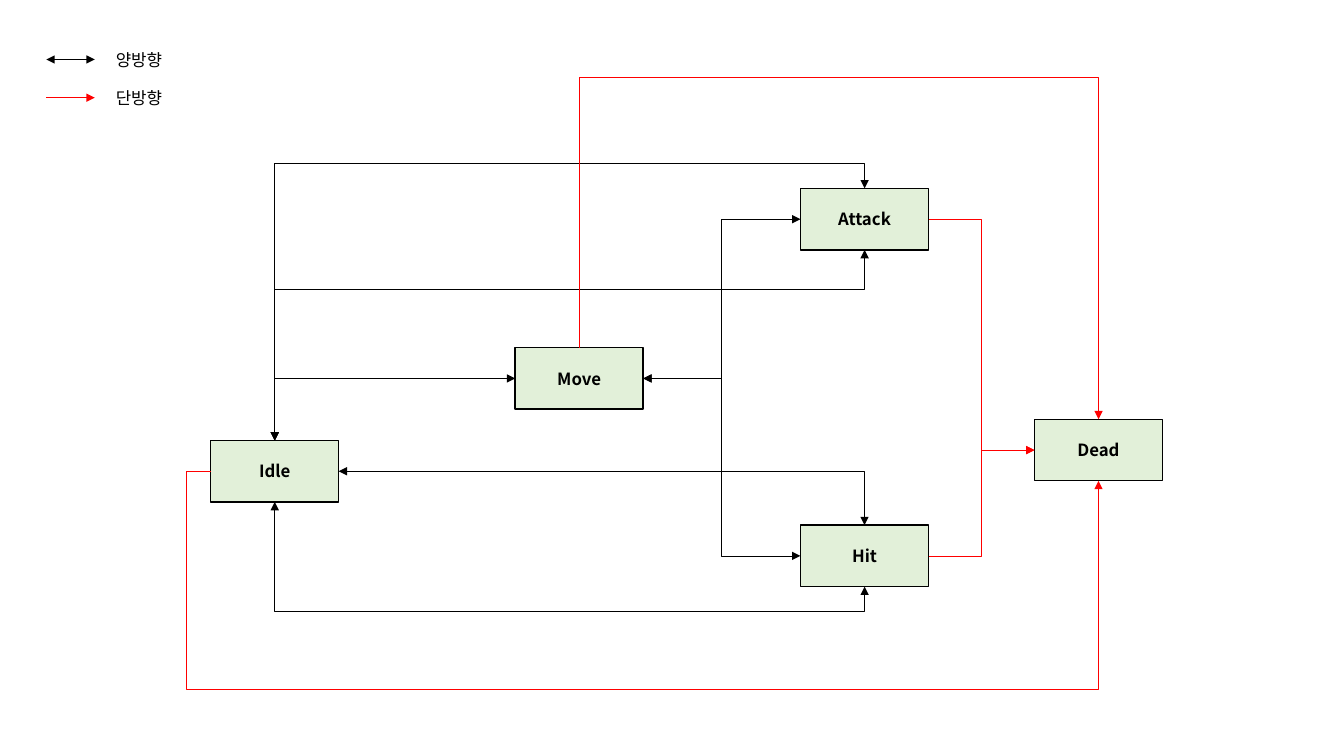
from dataclasses import dataclass

from lxml.etree import SubElement as Sub
from pptx import Presentation
from pptx.dml.color import RGBColor
from pptx.enum.shapes import MSO_CONNECTOR as Conn, MSO_SHAPE as Shape
from pptx.enum.text import MSO_ANCHOR as Anchor, PP_ALIGN as Align
from pptx.oxml.ns import qn
from pptx.util import Inches, Pt

BLACK = RGBColor(0, 0, 0)
RED = RGBColor(255, 0, 0)
GREEN = RGBColor(0xE2, 0xF0, 0xD9)
FONT = "Noto Sans CJK KR"
WIDE, HIGH = 1.27, 0.61
TOP, LEFT, BOTTOM, RIGHT = range(4)


@dataclass
class State:
    """A state box, placed by its top left corner."""
    name: str
    x: float
    y: float

    def site(self, side: int) -> tuple[float, float]:
        """Return the middle of one side."""
        across, down = [(0.5, 0), (0, 0.5), (0.5, 1), (1, 0.5)][side]
        return self.x + across * WIDE, self.y + down * HIGH


@dataclass
class Link:
    """An elbow between two sides; lanes are the inner turns, in inches."""
    start: str
    out: int
    end: str
    into: int
    lanes: tuple[float, ...] = ()
    color: RGBColor = BLACK


@dataclass
class Key:
    """One row of the legend."""
    label: str
    y: float
    color: RGBColor


STATES = [
    State("Idle", 2.09, 4.37),
    State("Attack", 7.94, 1.87),
    State("Move", 5.11, 3.45),
    State("Hit", 7.94, 5.21),
    State("Dead", 10.26, 4.16),
]
LINKS = [
    Link("Idle", TOP, "Move", LEFT),
    Link("Idle", RIGHT, "Hit", TOP),
    Link("Idle", BOTTOM, "Hit", BOTTOM, (6.07,)),
    Link("Move", RIGHT, "Attack", LEFT, (7.16,)),
    Link("Attack", RIGHT, "Dead", LEFT, (9.73,), RED),
    Link("Hit", RIGHT, "Dead", LEFT, (9.73,), RED),
    Link("Idle", TOP, "Attack", BOTTOM, (2.87,)),
    Link("Move", RIGHT, "Hit", LEFT, (7.16,)),
    Link("Idle", TOP, "Attack", TOP, (1.62,)),
    Link("Idle", LEFT, "Dead", BOTTOM, (1.85, 6.84), RED),
    Link("Move", TOP, "Dead", TOP, (0.77,), RED),
]
KEYS = [Key("양방향", 0.59, BLACK), Key("단방향", 0.97, RED)]


def write(shape, text: str, bold: bool = False) -> None:
    """Put one styled paragraph into a shape."""
    para = shape.text_frame.paragraphs[0]
    para.text = text
    font = para.font
    font.name, font.size, font.bold = FONT, Pt(12), bold
    font.color.rgb = BLACK
    Sub(font._element, qn("a:ea")).set("typeface", FONT)


def draw_state(shapes, state: State):
    """Draw a state box and return it."""
    box = shapes.add_shape(Shape.RECTANGLE, Inches(state.x), Inches(state.y),
                           Inches(WIDE), Inches(HIGH))
    box.shadow.inherit = False
    box.fill.solid()
    box.fill.fore_color.rgb = GREEN
    box.line.color.rgb = BLACK
    box.line.width = Pt(1)
    box.text_frame.word_wrap = False
    box.text_frame.vertical_anchor = Anchor.MIDDLE
    write(box, state.name, True)
    box.text_frame.paragraphs[0].alignment = Align.CENTER
    return box


def style(line, color: RGBColor) -> None:
    """Colour a connector and add arrowheads: black both ways, red one way."""
    line.line.color.rgb = color
    line.line.width = Pt(0.5)
    ends = ["headEnd", "tailEnd"] if color == BLACK else ["tailEnd"]
    for end in ends:
        Sub(line.line._get_or_add_ln(), qn(f"a:{end}")).set("type", "triangle")
    Sub(line._element.spPr, qn("a:effectLst"))


def draw_link(shapes, link: Link, states: dict, boxes: dict) -> None:
    """Draw an elbow glued to two boxes, turning at its lanes."""
    start = states[link.start].site(link.out)
    end = states[link.end].site(link.into)
    dx, dy = end[0] - start[0], end[1] - start[1]
    line = shapes.add_connector(Conn.ELBOW, 0, 0, 0, 0)
    line.begin_connect(boxes[link.start], link.out)
    line.end_connect(boxes[link.end], link.into)

    upright = link.out in (TOP, BOTTOM)
    if upright:
        turn = 270 if dy > 0 else 90
        flip_h, flip_v = True, (turn == 90) == (dx > 0)
        wide, high = abs(dy), abs(dx)
    else:
        turn, flip_h, flip_v = 0, dx < 0, dy < 0
        wide, high = abs(dx), abs(dy)
    line.left = Inches((start[0] + end[0] - wide) / 2)
    line.top = Inches((start[1] + end[1] - high) / 2)
    line.width, line.height = Inches(wide), Inches(high)
    frame = line._element.spPr.find(qn("a:xfrm"))
    frame.set("rot", str(turn * 60000))
    frame.set("flipH", str(int(flip_h)))
    frame.set("flipV", str(int(flip_v)))

    geom = line._element.spPr.find(qn("a:prstGeom"))
    geom.set("prst", f"bentConnector{2 + len(link.lanes)}")
    for num, lane in enumerate(link.lanes):
        axis = (num + upright) % 2
        part = (lane - start[axis]) / (dx, dy)[axis]
        guide = Sub(geom.find(qn("a:avLst")), qn("a:gd"))
        guide.set("name", f"adj{num + 1}")
        guide.set("fmla", f"val {round(part * 100000)}")
    style(line, link.color)


def draw_key(shapes, key: Key) -> None:
    """Draw a legend arrow with its label."""
    y = Inches(key.y)
    style(shapes.add_connector(Conn.STRAIGHT, Inches(0.46), y,
                               Inches(0.94), y), key.color)
    label = shapes.add_textbox(Inches(1.05), y - Inches(0.15),
                               Inches(1.12), Inches(0.3))
    label.text_frame.word_wrap = True
    write(label, key.label)


def main() -> None:
    """Build the slide and save it."""
    deck = Presentation()
    deck.slide_width, deck.slide_height = Inches(13.33), Inches(7.5)
    shapes = deck.slides.add_slide(deck.slide_layouts[6]).shapes
    states = {state.name: state for state in STATES}
    boxes = {state.name: draw_state(shapes, state) for state in STATES}
    for link in LINKS:
        draw_link(shapes, link, states, boxes)
    for key in KEYS:
        draw_key(shapes, key)
    deck.save("out.pptx")


main()
